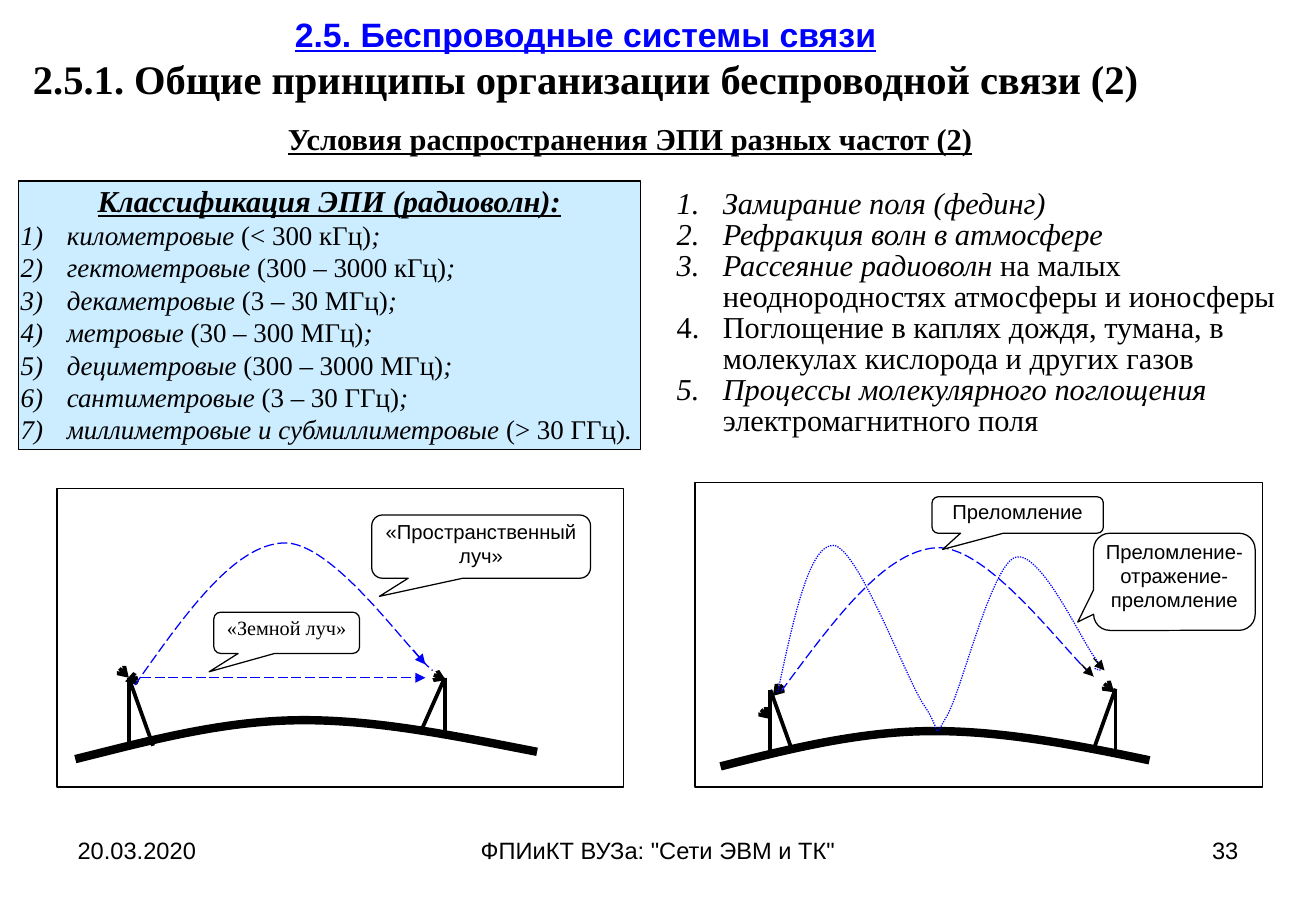
import pptx
import pptx.util
import pptx.dml.color
import pptx.enum.dml
import pptx.enum.shapes
import pptx.enum.text
from dataclasses import dataclass
from lxml import etree
from pptx.oxml.ns import qn

Inches = pptx.util.Inches
Pt = pptx.util.Pt
Align = pptx.enum.text.PP_ALIGN
Anchor = pptx.enum.text.MSO_ANCHOR
Shape = pptx.enum.shapes.MSO_SHAPE
Dash = pptx.enum.dml.MSO_LINE


@dataclass(frozen=True)
class Theme:
    """Colours, fonts, type sizes and line widths of the slide."""
    black: str = "000000"
    blue: str = "0000FF"
    pale: str = "CCECFF"
    white: str = "FFFFFF"
    sans: str = "Arial"
    serif: str = "Times New Roman"
    heading: int = 24
    section: int = 20
    body: int = 18
    item: int = 16
    footer: int = 14
    label: int = 12
    thin: float = 0.75
    mast: float = 2.25
    ground: float = 5


THEME = Theme()

WAVES = [
    ("километровые ", "(< 300 кГц)", ";"),
    ("гектометровые ", "(300 – 3000 кГц)", ";"),
    ("декаметровые ", "(3 – 30 МГц)", ";"),
    ("метровые ", "(30 – 300 МГц)", ";"),
    ("дециметровые ", "(300 – 3000 МГц)", ";"),
    ("сантиметровые ", "(3 – 30 ГГц)", ";"),
    ("миллиметровые и субмиллиметровые ", "(> 30 ГГц)", "."),
]
EFFECTS = [
    ("Замирание поля (фединг)", ""),
    ("Рефракция волн в атмосфере", ""),
    ("Рассеяние радиоволн", " на малых неоднородностях атмосферы и ионосферы"),
    ("", "Поглощение в каплях дождя, тумана, в молекулах кислорода и других газов"),
    ("Процессы молекулярного поглощения", " электромагнитного поля"),
]


def rgb(colour):
    """Return the colour object for a hex string."""
    return pptx.dml.color.RGBColor.from_string(colour)


def add_run(paragraph, text, size, font=THEME.serif, colour=THEME.black,
            bold=False, italic=False, underline=False):
    """Add one formatted run to a paragraph."""
    run = paragraph.add_run()
    run.text = text
    run.font.size = Pt(size)
    run.font.name = font
    run.font.color.rgb = rgb(colour)
    run.font.bold, run.font.italic, run.font.underline = bold, italic, underline


def number_paragraph(paragraph, scheme):
    """Give a paragraph a hanging automatic number."""
    properties = paragraph._p.get_or_add_pPr()
    properties.set("marL", str(Inches(0.38)))
    properties.set("indent", str(-Inches(0.38)))
    etree.SubElement(properties, qn("a:buFont"), typeface="+mj-lt")
    etree.SubElement(properties, qn("a:buAutoNum"), type=scheme)


def add_text_box(slide, box):
    """Add a wrapping text box and return its text frame."""
    frame = slide.shapes.add_textbox(*map(Inches, box)).text_frame
    frame.word_wrap = True
    return frame


def add_box(slide, kind, box, fill=None):
    """Add a thinly outlined shape with tight margins and top-anchored text."""
    shape = slide.shapes.add_shape(kind, *map(Inches, box))
    shape.shadow.inherit = False
    if fill:
        shape.fill.solid()
        shape.fill.fore_color.rgb = rgb(fill)
    else:
        shape.fill.background()
    style_line(shape.line, THEME.black, THEME.thin)
    frame = shape.text_frame
    frame.word_wrap = True
    frame.vertical_anchor = Anchor.TOP
    frame.margin_left = frame.margin_right = Inches(0.02)
    frame.margin_top = frame.margin_bottom = Inches(0.01)
    return shape


def style_line(line, colour, width, dash=None):
    """Set the colour, width and dash of a line."""
    line.color.rgb = rgb(colour)
    line.width = Pt(width)
    if dash:
        line.dash_style = dash


def add_stroke(slide, box, start, end, colour=THEME.black, width=THEME.mast, dash=None, arrow=None):
    """Draw a straight line inside a box, with an optional arrowhead at its end."""
    left, top = box[:2]
    connector = slide.shapes.add_connector(
        pptx.enum.shapes.MSO_CONNECTOR.STRAIGHT, Inches(left + start[0]), Inches(top + start[1]),
        Inches(left + end[0]), Inches(top + end[1]))
    style_line(connector.line, colour, width, dash)
    if arrow:
        etree.SubElement(connector.line._get_or_add_ln(), qn("a:tailEnd"), type=arrow)
    etree.SubElement(connector._element.spPr, qn("a:effectLst"))


def add_curve(slide, box, knots, colour, width, dash=None):
    """Draw a chain of cubic Bezier segments inside a box."""
    points = [(Inches(box[0] + x), Inches(box[1] + y)) for x, y in knots]
    builder = slide.shapes.build_freeform(*points[0])
    builder.add_line_segments(points[1:], close=False)
    curve = builder.convert_to_shape()
    segments = list(curve._element.iter(qn("a:lnTo")))
    for first in range(0, len(segments), 3):
        bezier = etree.Element(qn("a:cubicBezTo"))
        segments[first].addprevious(bezier)
        for segment in segments[first:first + 3]:
            bezier.append(segment[0])
            segment.getparent().remove(segment)
    curve.shadow.inherit = False
    curve.fill.background()
    style_line(curve.line, colour, width, dash)


def add_callout(slide, box, place, pointer, text, font=THEME.sans):
    """Place a rounded callout inside a box."""
    left, top, width, height = place
    callout = add_box(slide, Shape.ROUNDED_RECTANGULAR_CALLOUT,
                      (box[0] + left, box[1] + top, width, height), THEME.white)
    for index, value in enumerate((*pointer, 0.167)):
        callout.adjustments[index] = value
    paragraph = callout.text_frame.paragraphs[0]
    paragraph.alignment = Align.CENTER
    add_run(paragraph, text, THEME.label, font)


def add_scene(slide, box, ground, masts, antennas, sky):
    """Draw the frame, ground, masts, antennas and sky ray shared by both diagrams."""
    add_curve(slide, box, ground, THEME.black, THEME.ground)
    add_box(slide, Shape.RECTANGLE, box)
    for (x, y), height, spread in masts:
        for foot in (x, x + spread):
            add_stroke(slide, box, (x, y), (foot, y + height))
    for start, end in antennas:
        add_stroke(slide, box, start, end, arrow="arrow")
    add_curve(slide, box, sky, THEME.blue, THEME.thin, Dash.LONG_DASH)


def add_ground_ray_diagram(slide, box):
    """Draw the ground and sky rays between two masts."""
    add_scene(
        slide, box,
        [(0.15, 2.23), (0.75, 2.08), (1.34, 1.92), (1.97, 1.91), (2.61, 1.9), (3.28, 2.04), (3.95, 2.17)],
        [((0.59, 1.56), 0.56, 0.2), ((3.19, 1.56), 0.45, -0.2)],
        [((0.58, 1.55), (0.59, 1.56)), ((3.11, 1.54), (3.2, 1.58)), ((0.66, 1.56), (0.56, 1.59))],
        [(0.64, 1.62), (1.05, 1.04), (1.45, 0.47), (1.86, 0.45), (2.27, 0.43), (2.88, 1.33), (3.09, 1.5)])
    add_stroke(slide, box, (0.69, 1.56), (3.03, 1.56), THEME.blue, THEME.thin, Dash.LONG_DASH, "triangle")
    add_stroke(slide, box, (2.93, 1.33), (3.03, 1.45), THEME.blue, THEME.thin, arrow="triangle")
    add_callout(slide, box, (2.59, 0.22, 1.8, 0.52), (-0.465, 0.787), "«Пространственный луч»")
    add_callout(slide, box, (1.29, 1.02, 1.2, 0.34), (-0.532, 0.943), "«Земной луч»", THEME.serif)


def add_refraction_diagram(slide, box):
    """Draw the refracted and the reflected rays between two masts."""
    add_scene(
        slide, box,
        [(0.21, 2.34), (0.76, 2.2), (1.32, 2.06), (1.9, 2.05), (2.49, 2.04), (3.12, 2.16), (3.74, 2.29)],
        [((0.62, 1.71), 0.5, 0.18), ((3.46, 1.7), 0.5, -0.18)],
        [((0.61, 1.94), (0.62, 1.95)), ((3.38, 1.67), (3.45, 1.73)), ((0.72, 1.67), (0.64, 1.76))],
        [(0.71, 1.72), (1.14, 1.14), (1.56, 0.56), (1.99, 0.54), (2.42, 0.52), (3.06, 1.42), (3.28, 1.6)])
    add_callout(slide, box, (3.28, 0.42, 1.33, 0.8), (-0.598, 0.414), "Преломление-отражение-преломление")
    add_callout(slide, box, (1.95, 0.12, 1.41, 0.3), (-0.438, 0.945), "Преломление")
    reflected = [
        (0.68, 1.73), (0.81, 1.12), (0.94, 0.51), (1.14, 0.52), (1.34, 0.54), (1.73, 1.6), (1.88, 1.83),
        (2.04, 2.06), (1.95, 2.13), (2.07, 1.93), (2.19, 1.73), (2.43, 0.71), (2.63, 0.62),
        (2.83, 0.54), (3.17, 1.28), (3.28, 1.43), (3.39, 1.58), (3.33, 1.55), (3.28, 1.53)]
    add_curve(slide, box, reflected, THEME.blue, THEME.thin, Dash.ROUND_DOT)
    for start, end in (((3.18, 1.5), (3.28, 1.6)), ((3.28, 1.45), (3.37, 1.55))):
        add_stroke(slide, box, start, end, width=THEME.thin, arrow="triangle")


def add_title(slide, box):
    """Place the two-line title in its placeholder."""
    title = slide.shapes.title
    title.left, title.top, title.width, title.height = map(Inches, box)
    frame = title.text_frame
    frame.word_wrap = True
    frame.auto_size = pptx.enum.text.MSO_AUTO_SIZE.NONE
    frame.vertical_anchor = Anchor.MIDDLE
    paragraph = frame.paragraphs[0]
    paragraph.alignment = Align.CENTER
    add_run(paragraph, "2.5. Беспроводные системы связи", THEME.section, THEME.sans,
            THEME.blue, bold=True, underline=True)
    paragraph.add_line_break()
    add_run(paragraph, "2.5.1. Общие принципы организации беспроводной связи (2)", THEME.heading, bold=True)


def add_subtitle(slide, box):
    """Place the underlined subtitle."""
    paragraph = add_text_box(slide, box).paragraphs[0]
    add_run(paragraph, "Условия распространения ЭПИ разных частот (2)", THEME.body, bold=True, underline=True)


def add_effects(slide, box):
    """Place the numbered list of propagation effects."""
    frame = add_text_box(slide, box)
    for index, effect in enumerate(EFFECTS):
        paragraph = frame.add_paragraph() if index else frame.paragraphs[0]
        paragraph.line_spacing = 0.85
        number_paragraph(paragraph, "arabicPeriod")
        for text, italic in zip(effect, (True, False)):
            if text:
                add_run(paragraph, text, THEME.body, italic=italic)


def add_classification(slide, box):
    """Place the filled panel with the radio wave classes."""
    frame = add_box(slide, Shape.RECTANGLE, box, THEME.pale).text_frame
    heading = frame.paragraphs[0]
    heading.alignment = Align.CENTER
    add_run(heading, "Классификация ЭПИ (радиоволн):", THEME.body, bold=True, italic=True, underline=True)
    for wave in WAVES:
        paragraph = frame.add_paragraph()
        paragraph.alignment = Align.LEFT
        number_paragraph(paragraph, "arabicParenR")
        for text, italic in zip(wave, (True, False, True)):
            add_run(paragraph, text, THEME.item, italic=italic)


def add_footer(slide, box):
    """Place the date, the course name and the slide number."""
    left, top, width, height = box
    parts = [(0, 2.53, Align.LEFT, "20.03.2020"),
             (3.16, 3.43, Align.CENTER, 'ФПИиКТ ВУЗа: "Сети ЭВМ и ТК"'),
             (width - 2.53, 2.53, Align.RIGHT, "33")]
    for offset, part_width, alignment, text in parts:
        paragraph = add_text_box(slide, (left + offset, top, part_width, height)).paragraphs[0]
        paragraph.alignment = alignment
        add_run(paragraph, text, THEME.footer, THEME.sans)


def main():
    """Build the slide and save it."""
    presentation = pptx.Presentation()
    presentation.slide_width, presentation.slide_height = Inches(10.83), Inches(7.5)
    slide = presentation.slides.add_slide(presentation.slide_layouts[5])
    add_title(slide, (0.14, 0.01, 9.36, 0.94))
    add_ground_ray_diagram(slide, (0.47, 4.02, 4.66, 2.46))
    add_refraction_diagram(slide, (5.72, 3.97, 4.67, 2.51))
    add_subtitle(slide, (2.27, 0.94, 5.9, 0.4))
    add_effects(slide, (5.47, 1.51, 5.18, 2.16))
    add_classification(slide, (0.15, 1.49, 5.12, 2.21))
    add_footer(slide, (0.54, 6.83, 9.75, 0.52))
    presentation.save("out.pptx")


if __name__ == "__main__":
    main()
